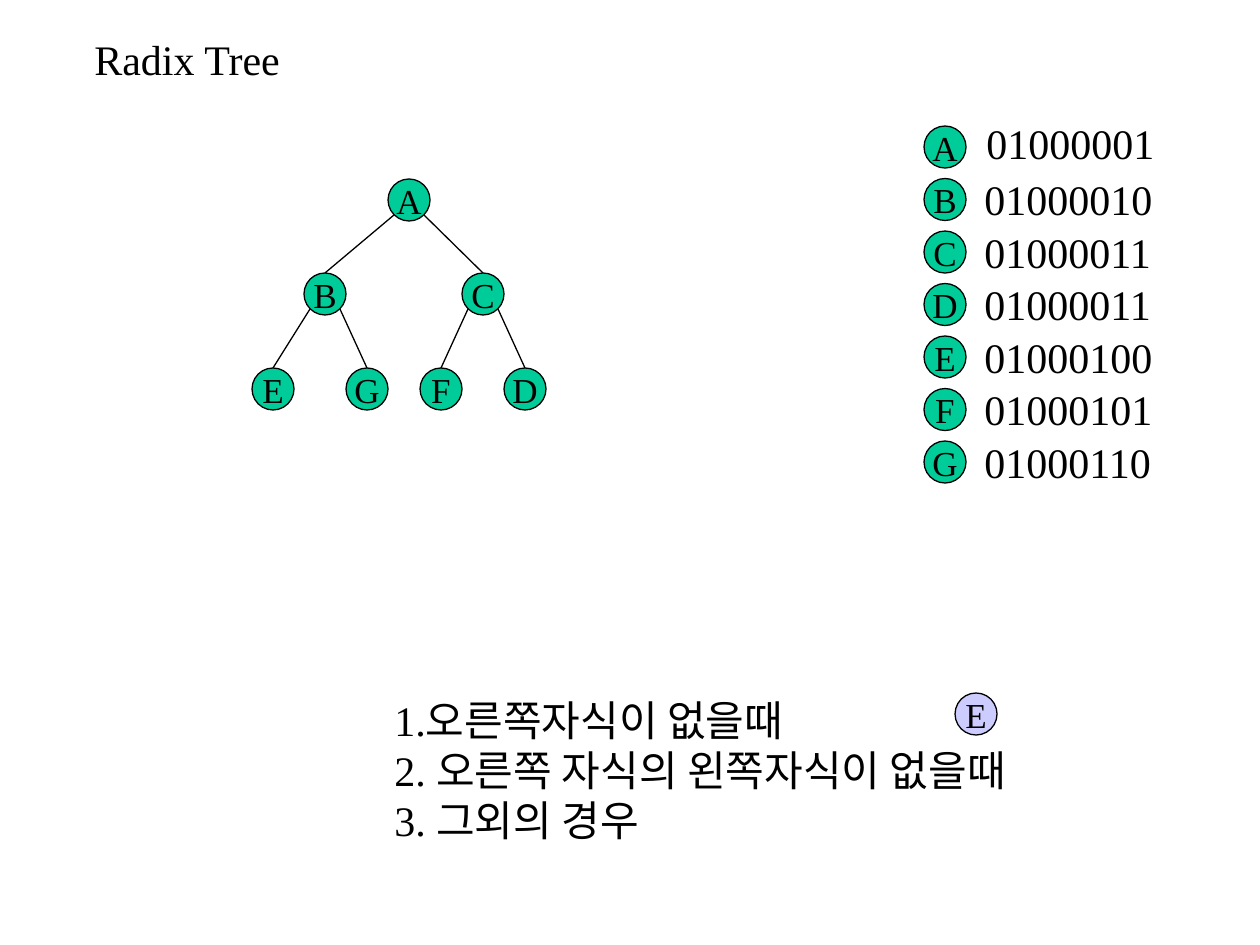
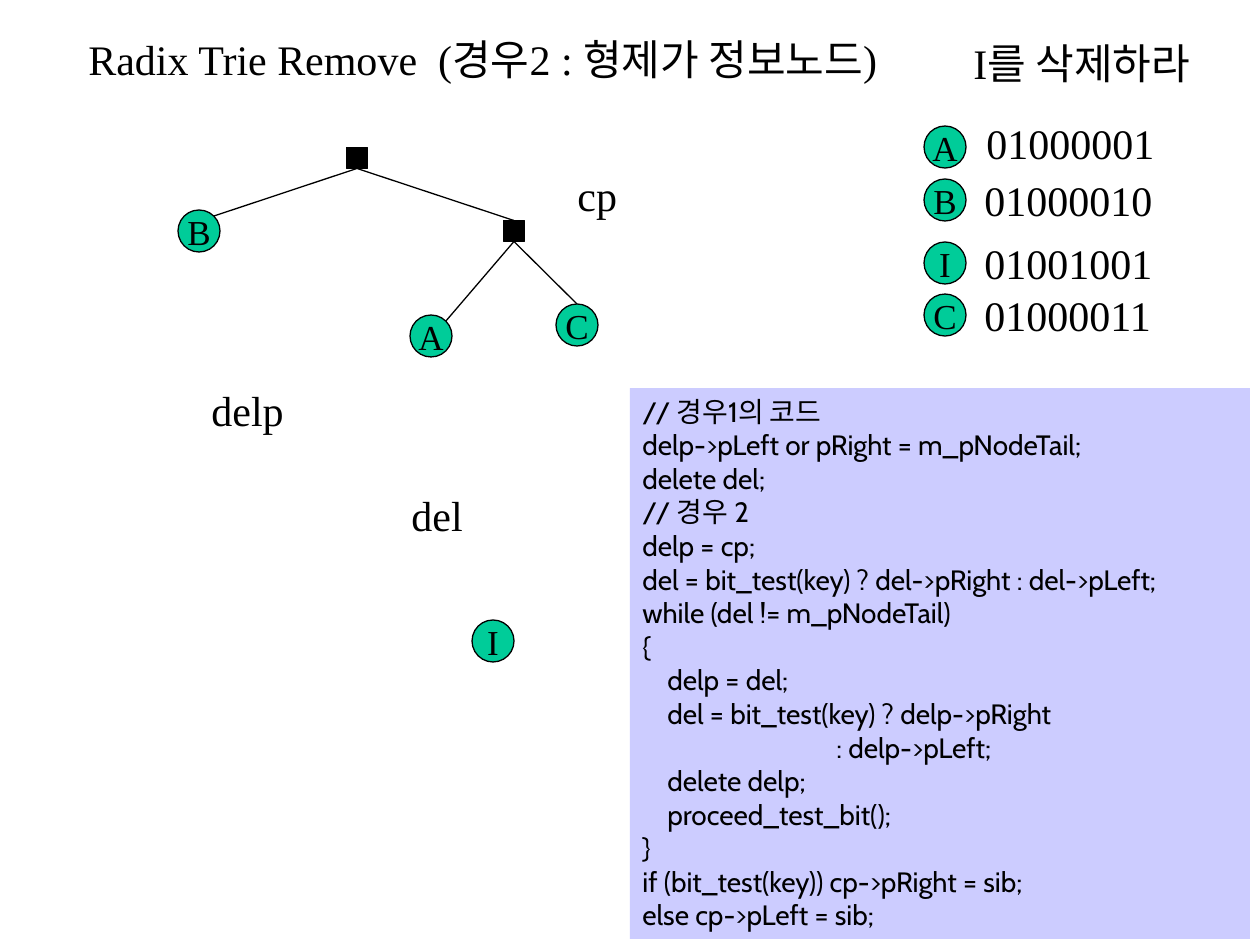
import pptx
import pptx.util
import pptx.dml.color
import pptx.enum.shapes
import pptx.enum.text
import pptx.oxml.ns
import lxml.etree

EMU_PER_PIXEL = 914400 / 126
SERIF = "Times New Roman"
CODE_FONT = "Cabin"
BLACK = "000000"
GREEN = "00CC99"
LAVENDER = "CCCCFF"
NODE_SIZE = 42
NODE_CORNER = 15
SQUARE_SIZE = 21
LINE_WIDTH = 0.74
LINE_HEIGHT = 63
TITLE_TOP = 27
KEY_X = 945
MSO_SHAPE = pptx.enum.shapes.MSO_SHAPE
ALIGN = pptx.enum.text.PP_ALIGN
ANCHOR = pptx.enum.text.MSO_ANCHOR


def px(value):
    return pptx.util.Emu(round(value * EMU_PER_PIXEL))


def color(value):
    return pptx.dml.color.RGBColor.from_string(value)


def write(paragraph, text, size, font=SERIF):
    run = paragraph.add_run()
    run.text = text
    run.font.size = pptx.util.Pt(size)
    run.font.name = font
    run.font.color.rgb = color(BLACK)


def add_text(slide, left, top, width, lines):
    box = slide.shapes.add_textbox(px(left), px(top), px(width), px(LINE_HEIGHT))
    frame = box.text_frame
    frame.word_wrap = False
    frame.auto_size = pptx.enum.text.MSO_AUTO_SIZE.SHAPE_TO_FIT_TEXT
    for index, line in enumerate(lines):
        paragraph = frame.add_paragraph() if index else frame.paragraphs[0]
        write(paragraph, line, 24)
    return box


def add_filled(slide, kind, left, top, width, height, fill, outlined=True):
    shape = slide.shapes.add_shape(kind, px(left), px(top), px(width), px(height))
    shape.shadow.inherit = False
    shape.fill.solid()
    shape.fill.fore_color.rgb = color(fill)
    if outlined:
        shape.line.color.rgb = color(BLACK)
        shape.line.width = pptx.util.Pt(LINE_WIDTH)
    else:
        shape.line.fill.background()
    return shape


def add_node(slide, letter, center, fill=GREEN):
    left, top = (value - NODE_SIZE / 2 for value in center)
    node = add_filled(slide, MSO_SHAPE.OVAL, left, top, NODE_SIZE, NODE_SIZE, fill)
    frame = node.text_frame
    frame.word_wrap = False
    frame.vertical_anchor = ANCHOR.MIDDLE
    paragraph = frame.paragraphs[0]
    paragraph.alignment = ALIGN.CENTER
    write(paragraph, letter, 20)


def add_square(slide, center):
    left, top = (value - SQUARE_SIZE / 2 for value in center)
    add_filled(slide, MSO_SHAPE.RECTANGLE, left, top, SQUARE_SIZE, SQUARE_SIZE, BLACK)


def add_line(slide, start, end):
    line = slide.shapes.add_connector(
        pptx.enum.shapes.MSO_CONNECTOR.STRAIGHT, *(px(value) for value in (*start, *end)))
    line.line.color.rgb = color(BLACK)
    line.line.width = pptx.util.Pt(LINE_WIDTH)
    properties = line.element.find(pptx.oxml.ns.qn("p:spPr"))
    lxml.etree.SubElement(properties, pptx.oxml.ns.qn("a:effectLst"))


def corner(center, side, direction):
    return center[0] + side * NODE_CORNER, center[1] + direction * NODE_CORNER


def top_of(center):
    return center[0], center[1] - NODE_SIZE / 2


def add_key(slide, entries):
    for letter, code, y in entries:
        add_node(slide, letter, (KEY_X, y))
        left, top = (974, y - 36) if letter == "A" else (972, y - 32)
        add_text(slide, left, top, 193, [code])


def add_code(slide, left, top, width, height, lines):
    panel = add_filled(slide, MSO_SHAPE.RECTANGLE, left, top, width, height, LAVENDER, False)
    frame = panel.text_frame
    frame.word_wrap = True
    frame.vertical_anchor = ANCHOR.TOP
    for index, (indent, line) in enumerate(lines):
        paragraph = frame.add_paragraph() if index else frame.paragraphs[0]
        paragraph.alignment = ALIGN.LEFT
        paragraph.space_before = pptx.util.Pt(0 if index else 10)
        paragraph._p.get_or_add_pPr().set("marL", str(px(indent)))
        write(paragraph, line, 16, CODE_FONT)


def build_tree_slide(slide):
    add_text(slide, 82, TITLE_TOP, 213, ["Radix Tree"])
    codes = ["01000001", "01000010", "01000011", "01000011",
             "01000100", "01000101", "01000110"]
    add_key(slide, [(letter, code, 147 + 52.5 * row)
                    for row, (letter, code) in enumerate(zip("ABCDEFG", codes))])
    centers = {"A": (409, 200), "B": (325, 294), "C": (483, 294), "E": (273, 389),
               "G": (367, 389), "F": (441, 389), "D": (525, 389)}
    for parent, left_child, right_child in ("ABC", "BEG", "CFD"):
        for child, side in ((left_child, -1), (right_child, 1)):
            add_line(slide, corner(centers[parent], side, 1), top_of(centers[child]))
    for letter, center in centers.items():
        add_node(slide, letter, center)
    add_node(slide, "E", (976, 714), LAVENDER)
    cases = add_text(slide, 382, 688, 653, [
        "1.오른쪽자식이 없을때", "2. 오른쪽 자식의 왼쪽자식이 없을때", "3. 그외의 경우"])
    cases.height = px(164)


def build_remove_slide(slide):
    add_text(slide, 76, TITLE_TOP, 858, ["Radix Trie Remove  (경우2 : 형제가 정보노드)"])
    add_text(slide, 961, 31, 255, ["I를 삭제하라"])
    add_key(slide, [("A", "01000001", 147), ("B", "01000010", 200),
                    ("I", "01001001", 263), ("C", "01000011", 315)])
    root, branch = (357, 158), (514, 231)
    centers = {"A": (431, 336), "B": (199, 231), "C": (577, 325), "I": (493, 641)}
    half = SQUARE_SIZE / 2
    root_exit = root[0], root[1] + half
    branch_exit = branch[0], branch[1] + half
    add_line(slide, root_exit, (branch[0], branch[1] - half))
    add_line(slide, root_exit, corner(centers["B"], 1, -1))
    add_line(slide, branch_exit, corner(centers["A"], 1, -1))
    add_line(slide, branch_exit, top_of(centers["C"]))
    for center in (root, branch):
        add_square(slide, center)
    for letter, center in centers.items():
        add_node(slide, letter, center)
    for label, left, top, width in (
            ("del", 399, 483, 82), ("cp", 565, 163, 70), ("delp", 199, 378, 104)):
        add_text(slide, left, top, width, [label])
    add_code(slide, 630, 388, 620, 551, [
        (0, "// 경우1의 코드"),
        (0, "delp->pLeft or pRight = m_pNodeTail;"),
        (0, "delete del;"),
        (0, "// 경우 2"),
        (0, "delp = cp;"),
        (0, "del = bit_test(key) ? del->pRight : del->pLeft;"),
        (0, "while (del != m_pNodeTail)"),
        (0, "{"),
        (25, "delp = del;"),
        (25, "del = bit_test(key) ? delp->pRight"),
        (194, ": delp->pLeft;"),
        (25, "delete delp;"),
        (25, "proceed_test_bit();"),
        (0, "}"),
        (0, "if (bit_test(key)) cp->pRight = sib;"),
        (0, "else cp->pLeft = sib;"),
    ])


def main():
    presentation = pptx.Presentation()
    presentation.slide_width = px(1260)
    presentation.slide_height = px(945)
    blank = presentation.slide_layouts[6]
    for build in (build_tree_slide, build_remove_slide):
        build(presentation.slides.add_slide(blank))
    presentation.save("out.pptx")


main()
